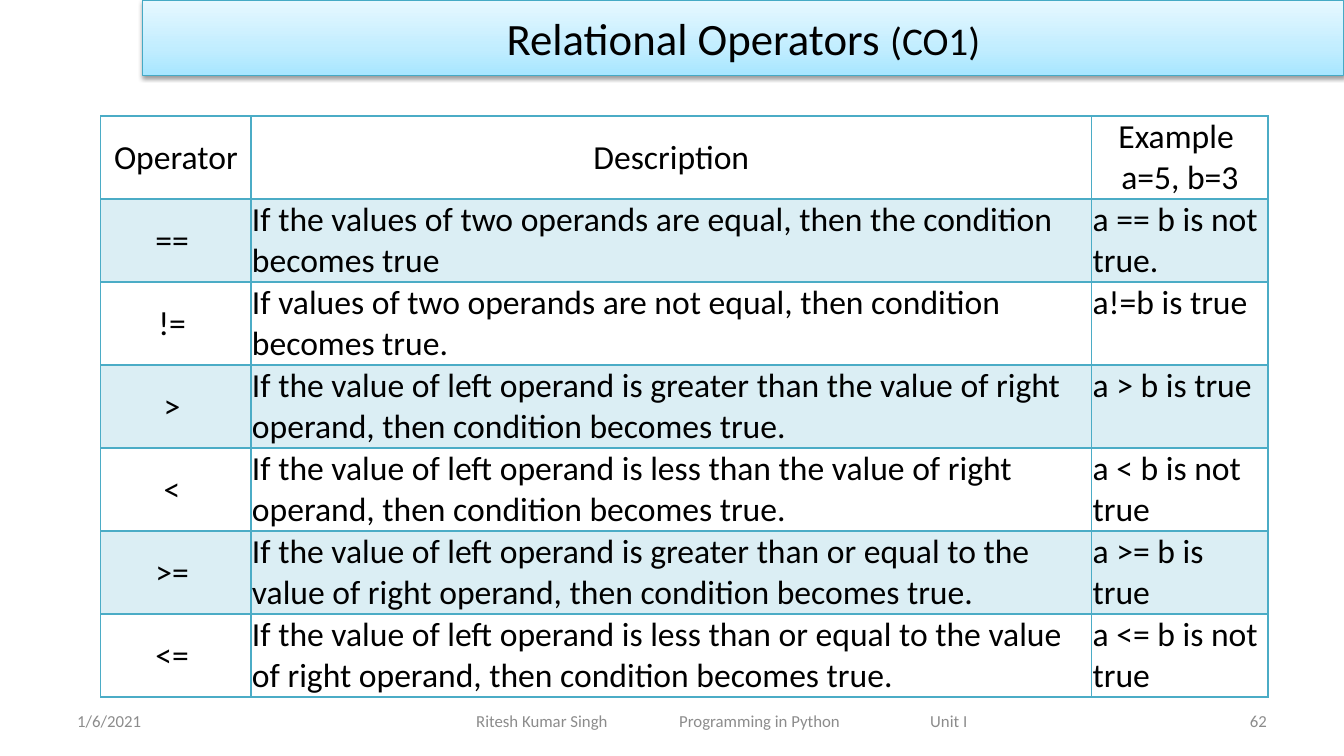
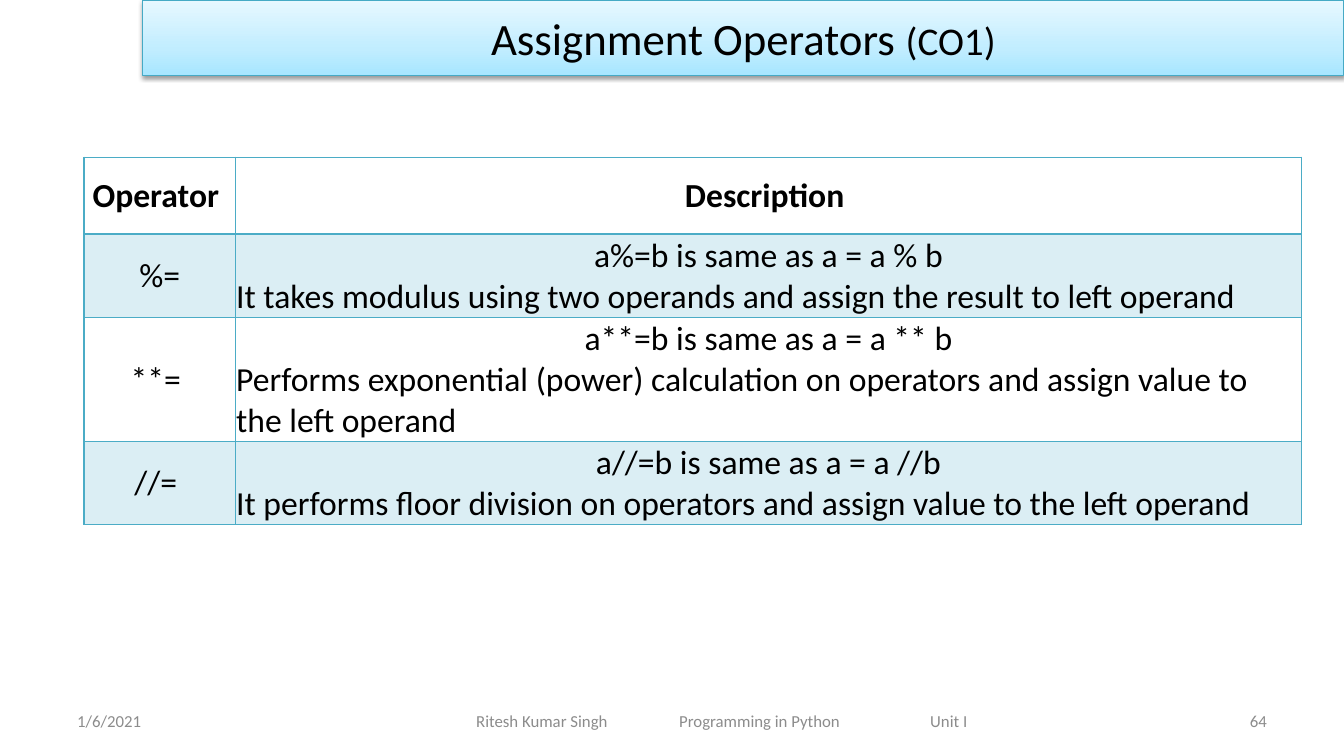
from dataclasses import dataclass
from pptx import Presentation
from pptx.dml.color import RGBColor as RGB
from pptx.enum.text import MSO_ANCHOR as Anchor, MSO_AUTO_SIZE as Auto, PP_ALIGN as Align
from pptx.oxml import parse_xml
from pptx.oxml.ns import nsdecls
from pptx.util import Pt


@dataclass(frozen=True)
class Theme:
    font: str = "Calibri"
    ink: str = "000000"
    grey: str = "8C8C8C"
    edge: str = "46AAC5"
    grid: str = "4BACC6"
    band: str = "DBEEF4"
    stops: tuple = ((0, "A7E6FF"), (35, "C1EDFF"), (100, "E7F8FF"))
    title: int = 32
    code: int = 28
    body: int = 24
    foot: int = 12


look = Theme()
NS = nsdecls("a")


def style(para, size, color, align, bold=False):
    para.alignment = align
    for run in para.runs:
        font = run.font
        font.name, font.size, font.bold = look.font, Pt(size), bold
        font.color.rgb = RGB.from_string(color)


def border(cell, side, width):
    cell._tc.get_or_add_tcPr().append(parse_xml(
        f'<a:ln{side} {NS} w="{Pt(width)}"><a:solidFill>'
        f'<a:srgbClr val="{look.grid}"/></a:solidFill></a:ln{side}>'))


# Slide content: the first row of each table is its header
pages = [
    dict(title="Relational Operators ", num="62", left=72, top=82.8, bold=False,
         cols=[107.3, 600.5, 126], heights=[59.3] * 7, rows=[
             ("Operator", "Description", "Example \na=5, b=3"),
             ("== ", "If the values of two operands are equal, then the condition becomes true",
              "a == b is not true."),
             ("!= ", "If values of two operands are not equal, then condition becomes true.",
              "a!=b is true"),
             ("> ", "If the value of left operand is greater than the value of right operand, "
              "then condition becomes true.", "a > b is true"),
             ("< ", "If the value of left operand is less than the value of right operand, "
              "then condition becomes true.", "a < b is not true"),
             (">= ", "If the value of left operand is greater than or equal to the value of "
              "right operand, then condition becomes true.", "a >= b is true"),
             ("<= ", "If the value of left operand is less than or equal to the value of "
              "right operand, then condition becomes true.", "a <= b is not true")]),
    dict(title="Assignment Operators ", num="64", left=60, top=112.3, bold=True,
         cols=[108, 761.8], heights=[55, 59.3, 88.6, 59.3], rows=[
             ("Operator ", "Description "),
             ("%=", "a%=b is same as a = a % b\n"
              "It takes modulus using two operands and assign the result to left operand"),
             ("**= ", "a**=b is same as a = a ** b\nPerforms exponential (power) calculation "
              "on operators and assign value to the left operand"),
             ("//= ", "a//=b is same as a = a //b\nIt performs floor division on operators "
              "and assign value to the left operand")]),
]

# Footer boxes: left, width, left inset, alignment, tab stops
date = (48, 224, 7.2, Align.LEFT, ())
number = (688, 224, 7.2, Align.RIGHT, ())
course = (318.2, 396, 22, Align.LEFT, (145, 324.3))

prs = Presentation()
prs.slide_width, prs.slide_height = Pt(960), Pt(540)

for page in pages:
    slide = prs.slides.add_slide(prs.slide_layouts[5])

    # Title band with gradient, outline and shadow
    title = slide.shapes.title
    title.left, title.top, title.width, title.height = Pt(102), Pt(0), Pt(858), Pt(54)
    stops = "".join(f'<a:gs pos="{pos * 1000}"><a:srgbClr val="{color}"/></a:gs>'
                    for pos, color in look.stops)
    props = title._element.spPr
    props.append(parse_xml(f'<a:gradFill {NS} rotWithShape="1"><a:gsLst>{stops}</a:gsLst>'
                           '<a:lin ang="16200000" scaled="0"/></a:gradFill>'))
    title.line.color.rgb = RGB.from_string(look.edge)
    title.line.width = Pt(0.75)
    props.append(parse_xml(
        f'<a:effectLst {NS}><a:outerShdw blurRad="{Pt(3.1)}" dist="{Pt(1.6)}" dir="5400000" '
        f'rotWithShape="0"><a:srgbClr val="{look.ink}"><a:alpha val="38000"/></a:srgbClr>'
        '</a:outerShdw></a:effectLst>'))
    frame = title.text_frame
    frame.text = page["title"]
    frame.auto_size, frame.vertical_anchor = Auto.NONE, Anchor.MIDDLE
    para = frame.paragraphs[0]
    code = para.add_run()
    code.text = "(CO1)"
    style(para, look.title, look.ink, Align.CENTER)
    code.font.size = Pt(look.code)

    # Operator table
    rows, cols, heights = page["rows"], page["cols"], page["heights"]
    table = slide.shapes.add_table(len(rows), len(cols), Pt(page["left"]), Pt(page["top"]),
                                   Pt(sum(cols)), Pt(sum(heights))).table
    table.first_row = table.horz_banding = False
    for col, width in zip(table.columns, cols):
        col.width = Pt(width)
    for r, texts in enumerate(rows):
        table.rows[r].height = Pt(heights[r])
        for c, text in enumerate(texts):
            cell = table.cell(r, c)
            cell.margin_left = cell.margin_right = cell.margin_top = Pt(0.72)
            cell.margin_bottom = Pt(0)
            cell.vertical_anchor = Anchor.TOP if r and c == 2 else Anchor.MIDDLE
            for side in "LRTB":
                border(cell, side, 2 if r == 0 and side == "B" else 1)
            if r % 2:
                cell.fill.solid()
                cell.fill.fore_color.rgb = RGB.from_string(look.band)
            else:
                cell.fill.background()
            cell.text_frame.text = text
            paras = cell.text_frame.paragraphs
            for i, para in enumerate(paras):
                mid = r == 0 or c == 0 or i < len(paras) - 1
                style(para, look.body, look.ink, Align.CENTER if mid else Align.LEFT,
                      page["bold"] and r == 0)

    # Footer
    for spot, text in ((date, "1/6/2021"), (number, page["num"]),
                       (course, "Ritesh Kumar Singh\tProgramming in Python\tUnit I")):
        left, width, inset, align, tabs = spot
        frame = slide.shapes.add_textbox(Pt(left), Pt(500.4), Pt(width), Pt(28.8)).text_frame
        frame.word_wrap, frame.vertical_anchor = True, Anchor.MIDDLE
        frame.margin_left = Pt(inset)
        frame.text = text
        para = frame.paragraphs[0]
        if tabs:
            marks = "".join(f'<a:tab pos="{Pt(tab)}" algn="l"/>' for tab in tabs)
            para._p.get_or_add_pPr().append(parse_xml(f'<a:tabLst {NS}>{marks}</a:tabLst>'))
        style(para, look.foot, look.grey, align)

prs.save("out.pptx")
